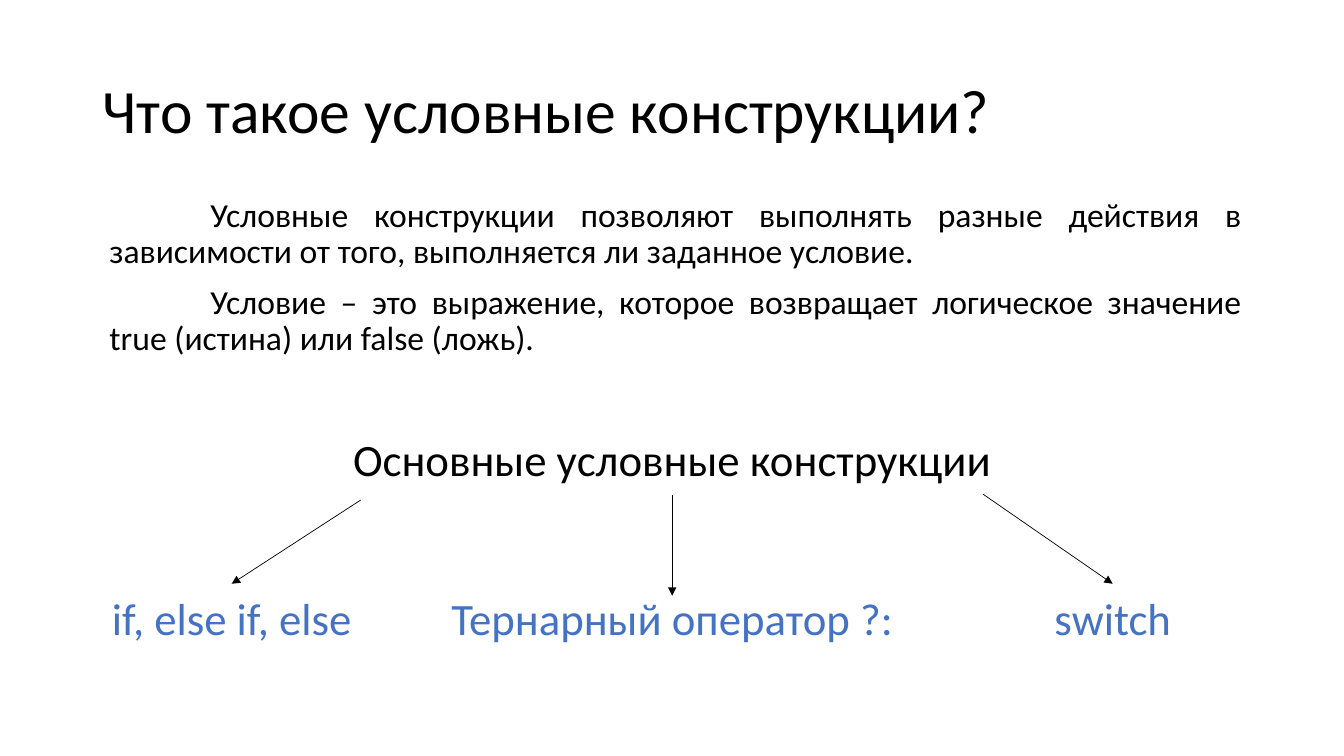
from lxml import etree
from pptx import Presentation
from pptx.dml.color import RGBColor
from pptx.enum import shapes, text
from pptx.oxml import ns
from pptx.util import Cm, Pt

TITLE = "Что такое условные конструкции?"
DEFINITIONS = [
    "Условные конструкции позволяют выполнять разные действия в зависимости от того, "
    "выполняется ли заданное условие.",
    "Условие – это выражение, которое возвращает логическое значение true (истина) "
    "или false (ложь).",
]
HEADING = "Основные условные конструкции"
CONSTRUCTIONS = [
    ("if, else if, else", 7.01),
    ("Тернарный оператор ?:", 11.86),
    ("switch", 7.01),
]
ARROWS = [
    ((9.09, 12.6), (5.84, 14.71)),
    ((16.94, 12.47), (16.94, 15.01)),
    ((24.77, 12.45), (28.04, 14.71)),
]

FONT = "Calibri"
BLACK = RGBColor(0x00, 0x00, 0x00)
BLUE = RGBColor(0x44, 0x72, 0xC4)
MARGIN = 2.34
CONTENT_WIDTH = 29.21
ROW_TOP = 15.01
ROW_HEIGHT = 1.4


def add_text(slide, lines, box, size, color=BLACK, align=text.PP_ALIGN.LEFT,
             anchor=text.MSO_ANCHOR.TOP, line_spacing=0.9, before=10, indent=0):
    frame = slide.shapes.add_textbox(*(Cm(length) for length in box)).text_frame
    frame.word_wrap = True
    frame.vertical_anchor = anchor
    for index, line in enumerate(lines):
        paragraph = frame.add_paragraph() if index else frame.paragraphs[0]
        paragraph.alignment = align
        paragraph.line_spacing = line_spacing
        paragraph.space_before = Pt(before)
        if indent:
            properties = paragraph._p.get_or_add_pPr()
            properties.set("marL", "0")
            properties.set("indent", str(Cm(indent)))
        run = paragraph.add_run()
        run.text = line
        run.font.name = FONT
        run.font.size = Pt(size)
        run.font.color.rgb = color


def add_arrow(slide, start, end):
    points = (Cm(length) for length in start + end)
    arrow = slide.shapes.add_connector(shapes.MSO_CONNECTOR.STRAIGHT, *points)
    arrow.line.color.rgb = BLACK
    arrow.line.width = Pt(0.5)
    etree.SubElement(arrow.line._get_or_add_ln(), ns.qn("a:tailEnd"), type="triangle")
    etree.SubElement(arrow._element.spPr, ns.qn("a:effectLst"))


def main():
    presentation = Presentation()
    presentation.slide_width = Cm(33.87)
    presentation.slide_height = Cm(19.05)
    slide = presentation.slides.add_slide(presentation.slide_layouts[6])
    center = text.PP_ALIGN.CENTER

    add_text(slide, [TITLE], (MARGIN, 1.02, CONTENT_WIDTH, 3.68), 44,
             anchor=text.MSO_ANCHOR.MIDDLE, before=0)
    add_text(slide, DEFINITIONS, (2.51, 4.88, 29.03, 4.42), 24,
             align=text.PP_ALIGN.JUSTIFY, indent=2.54)
    add_text(slide, [HEADING], (7.85, 10.9, 18.19, 1.73), 32, align=center)

    used_width = sum(width for _, width in CONSTRUCTIONS)
    gap = (CONTENT_WIDTH - used_width) / (len(CONSTRUCTIONS) - 1)
    left = MARGIN
    for name, width in CONSTRUCTIONS:
        add_text(slide, [name], (left, ROW_TOP, width, ROW_HEIGHT), 32,
                 color=BLUE, align=center, line_spacing=0.8)
        left += width + gap

    for start, end in ARROWS:
        add_arrow(slide, start, end)

    presentation.save("out.pptx")


if __name__ == "__main__":
    main()
